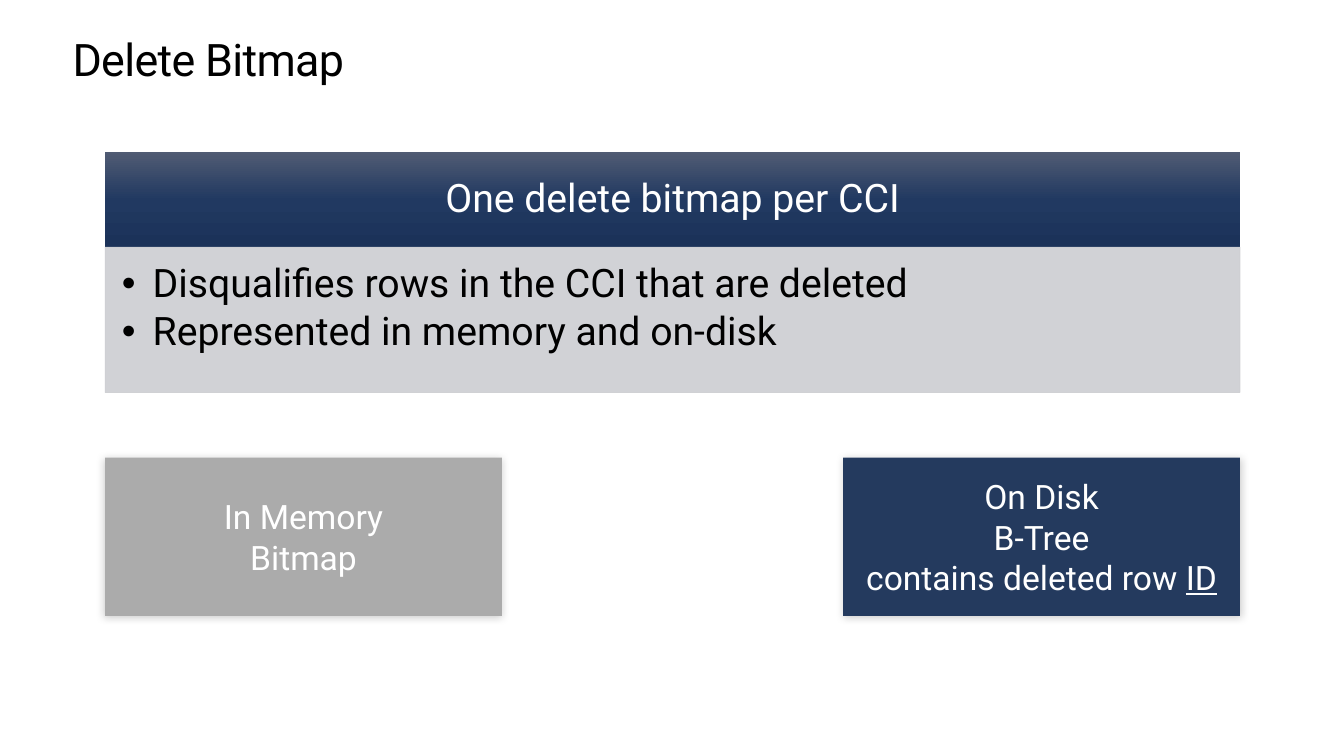
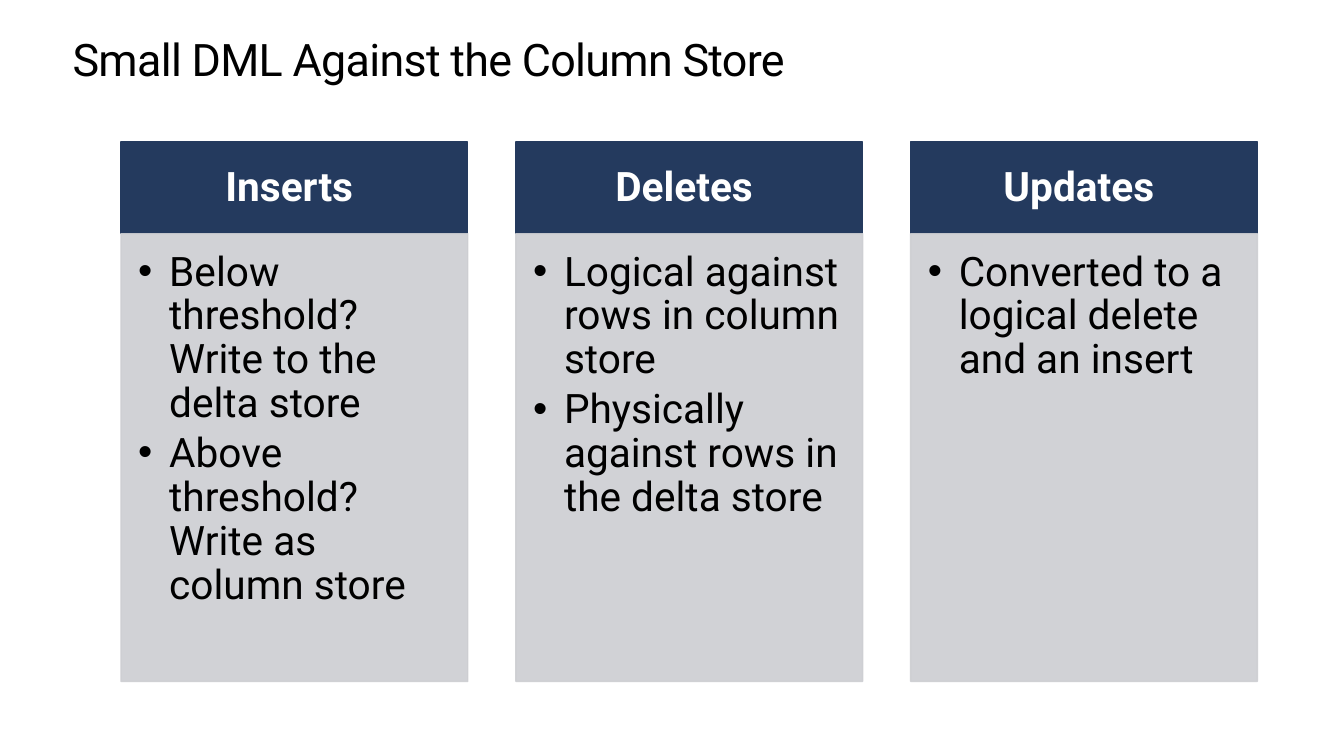
"""Builds two slides on deletes and small DML in a column store."""
from lxml import etree
from pptx import Presentation
from pptx.dml.color import RGBColor
from pptx.enum.shapes import MSO_SHAPE
from pptx.enum.text import MSO_ANCHOR, PP_ALIGN
from pptx.oxml import parse_xml
from pptx.oxml.ns import nsdecls, qn
from pptx.util import Cm, Pt

RECTANGLE = MSO_SHAPE.RECTANGLE
TOP, MIDDLE = MSO_ANCHOR.TOP, MSO_ANCHOR.MIDDLE
LEFT, CENTER = PP_ALIGN.LEFT, PP_ALIGN.CENTER

FONT = "Roboto"
BLACK, WHITE = "000000", "FFFFFF"
NAVY, SILVER, GRAY = "243A5E", "CDCED2", "ABABAB"
HEADER_STOPS = ((0, "505B73"), (50, "213961"), (100, "1B3259"))


def color(value):
    """Turn a hex string into a colour."""
    return RGBColor.from_string(value)


def set_insets(frame, left, top, right, bottom):
    """Set the text margins of a frame in centimetres."""
    frame.margin_left, frame.margin_top = Cm(left), Cm(top)
    frame.margin_right, frame.margin_bottom = Cm(right), Cm(bottom)


def style_paragraph(para, size, ink, align=LEFT, bold=False):
    """Set font and alignment of a paragraph."""
    para.alignment = align
    para.font.name, para.font.size, para.font.bold = FONT, Pt(size), bold
    para.font.color.rgb = color(ink)


def add_lines(frame, lines, size, ink, align=LEFT, bold=False):
    """Write one paragraph per line and return the paragraphs."""
    frame.word_wrap = True
    for index, line in enumerate(lines):
        para = frame.add_paragraph() if index else frame.paragraphs[0]
        para.text = line
        style_paragraph(para, size, ink, align, bold)
    return frame.paragraphs


def add_rectangle(page, left, top, width, height, fill, anchor=MIDDLE):
    """Add a plain filled rectangle without line or shadow."""
    box = page.shapes.add_shape(RECTANGLE, Cm(left), Cm(top), Cm(width), Cm(height))
    box.shadow.inherit = False
    box.fill.solid()
    box.fill.fore_color.rgb = color(fill)
    box.line.fill.background()
    box.text_frame.vertical_anchor = anchor
    return box


def set_outline(box, ink, weight):
    """Give a box a solid outline."""
    box.line.color.rgb = color(ink)
    box.line.width = Pt(weight)


def set_opacity(box, percent):
    """Make every colour in the box's fill and line partly transparent."""
    for node in box._element.spPr.iter(qn("a:srgbClr")):
        etree.SubElement(node, qn("a:alpha")).set("val", str(percent * 1000))


def set_gradient(box, stops):
    """Replace the solid fill by a top-to-bottom gradient."""
    marks = "".join(f'<a:gs pos="{position * 1000}"><a:srgbClr val="{value}"/></a:gs>'
                    for position, value in stops)
    gradient = parse_xml(f'<a:gradFill {nsdecls("a")} rotWithShape="1"><a:gsLst>{marks}'
                         '</a:gsLst><a:lin ang="5400000" scaled="0"/></a:gradFill>')
    properties = box._element.spPr
    properties.replace(properties.find(qn("a:solidFill")), gradient)


def set_shadow(box, angle):
    """Give a box a soft black shadow."""
    effects = box._element.spPr.find(qn("a:effectLst"))
    effects.append(parse_xml(
        f'<a:outerShdw {nsdecls("a")} blurRad="{Pt(6)}" dist="{Pt(1)}" dir="{angle * 60000}" '
        f'rotWithShape="0"><a:srgbClr val="{BLACK}"><a:alpha val="20000"/></a:srgbClr>'
        '</a:outerShdw>'))


def set_bullet(para, indent):
    """Give a paragraph a hanging round bullet."""
    properties = para._p.get_or_add_pPr()
    properties.set("marL", str(Cm(indent)))
    properties.set("indent", str(-Cm(indent)))
    etree.SubElement(properties, qn("a:buFont")).set("typeface", "Arial")
    etree.SubElement(properties, qn("a:buChar")).set("char", "•")


def space_paragraphs(paragraphs, size, share):
    """Set tight lines and a gap that is a share of the text size."""
    for para in paragraphs:
        para.line_spacing = 0.9
        para.space_after = Pt(size * share)


def add_panel(page, left, top, width, heights, heading, bullets, size, weight, bold=False):
    """Add a header band above a bulleted body and return the header."""
    header_height, body_height = heights
    header = add_rectangle(page, left, top, width, header_height, NAVY)
    set_insets(header.text_frame, 0.02 * size, 0.011 * size, 0.02 * size, 0.011 * size)
    headings = add_lines(header.text_frame, [heading], size, WHITE, CENTER, bold)
    space_paragraphs(headings, size, 0.35)

    body = add_rectangle(page, left, top + header_height, width, body_height, SILVER, TOP)
    set_outline(body, SILVER, weight)
    set_opacity(body, 90)
    set_insets(body.text_frame, 0.015 * size, 0.015 * size, 0.02 * size, 0.022 * size)
    items = add_lines(body.text_frame, bullets, size, BLACK)
    space_paragraphs(items, size, 0.15)
    for para in items:
        set_bullet(para, 0.78)
    return header


def add_card(page, left, fill, lines, angle):
    """Add a shadowed card with centred lines."""
    card = add_rectangle(page, left, 11.53, 10, 3.99, fill)
    set_shadow(card, angle)
    return add_lines(card.text_frame, lines, 24, WHITE, CENTER)


def add_page(deck, title):
    """Add a blank slide with its title."""
    page = deck.slides.add_slide(deck.slide_layouts[6])
    box = page.shapes.add_textbox(Cm(1.83), Cm(0.89), Cm(30.23), Cm(1.27))
    set_insets(box.text_frame, 0, 0, 0, 0)
    para = add_lines(box.text_frame, [title], 32, BLACK)[0]
    para.line_spacing = Pt(36.2)
    para.runs[0].font._element.set("spc", "-50")
    return page


def build_bitmap_page(deck):
    """Build the slide on the delete bitmap."""
    page = add_page(deck, "Delete Bitmap")
    left, width = 2.65, 28.6
    header = add_panel(page, left, 3.84, width, (2.39, 3.66), "One delete bitmap per CCI",
                       ["Disqualifies rows in the CCI that are deleted",
                        "Represented in memory and on-disk"], 28, 0.5)
    set_gradient(header, HEADER_STOPS)
    add_card(page, left, GRAY, ["In Memory", "Bitmap"], 135)
    lines = add_card(page, left + width - 10, NAVY,
                     ["On Disk", "B-Tree", "contains deleted row "], 45)
    span = lines[-1].add_run()
    span.text = "ID"
    span.font.underline = True


def build_changes_page(deck):
    """Build the slide on inserts, deletes and updates."""
    page = add_page(deck, "Small DML Against the Column Store")
    columns = (
        ("Inserts ", ["Below threshold? Write to the delta store",
                      "Above threshold? Write as column store"]),
        ("Deletes ", ["Logical against rows in column store",
                      "Physically against rows in the delta store"]),
        ("Updates ", ["Converted to a logical delete and an insert"]),
    )
    for index, (heading, bullets) in enumerate(columns):
        header = add_panel(page, 3.05 + 9.95 * index, 3.58, 8.74, (2.31, 11.28),
                           heading, bullets, 29, 1, bold=True)
        set_outline(header, NAVY, 1)


def main():
    """Build and save the deck."""
    deck = Presentation()
    deck.slide_width, deck.slide_height = Cm(33.87), Cm(19.05)
    build_bitmap_page(deck)
    build_changes_page(deck)
    deck.save("out.pptx")


if __name__ == "__main__":
    main()
